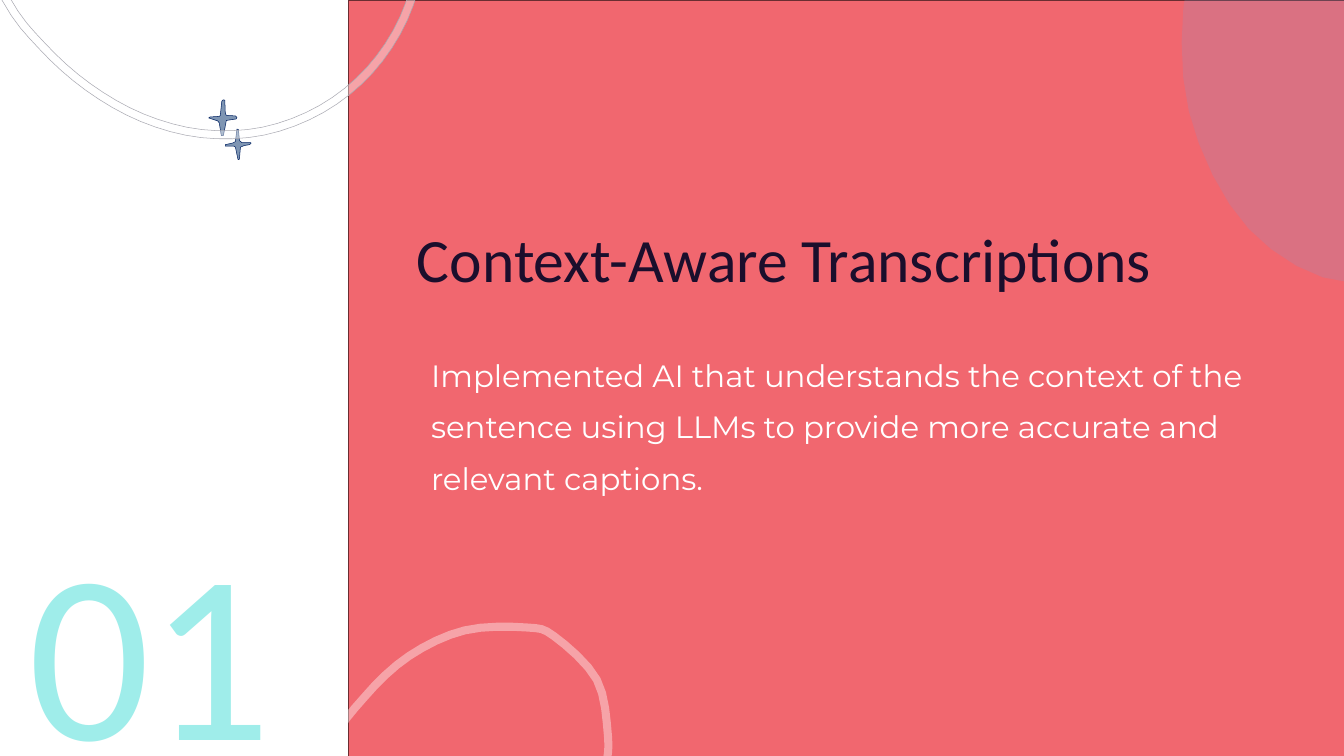
from math import hypot
from pptx import Presentation
from pptx.dml.color import RGBColor
from pptx.enum.shapes import MSO_SHAPE as Kind
from pptx.enum.text import MSO_ANCHOR as Anchor, MSO_AUTO_SIZE as Auto, PP_ALIGN as Align
from pptx.oxml.ns import qn
from pptx.util import Pt
from lxml.etree import SubElement

PX = 9144
WIDTH, HEIGHT = 2666, 1500
WHITE = RGBColor(0xFF, 0xFF, 0xFF)
CORAL = RGBColor(0xF1, 0x67, 0x6F)
WINE = RGBColor(0x6A, 0x2D, 0x31)
STEEL = RGBColor(0x7E, 0x95, 0xB3)
NAVY = RGBColor(0x00, 0x20, 0x60)
BLUE = RGBColor(0x82, 0x99, 0xCE)
GREY = RGBColor(0xA9, 0xA9, 0xB2)
AQUA = RGBColor(0x9F, 0xED, 0xEA)
INK = RGBColor(0x1B, 0x0E, 0x2C)

NUMBER = "01"
TITLE = "Context-Aware Transcriptions"
BODY = ("Implemented AI that understands the context of the sentence using LLMs "
        "to provide more accurate and relevant captions.")

PANEL = (692, 0, 1984, 1500)
STARS = [
    [(414, 234), (417, 232), (435, 231), (437, 229), (440, 201), (443, 198),
     (446, 199), (447, 225), (449, 229), (467, 230), (470, 233), (469, 236),
     (449, 239), (446, 255), (443, 269), (439, 269), (435, 244), (432, 240)],
    [(498, 284), (497, 283), (480, 283), (475, 279), (473, 257), (470, 256),
     (467, 281), (461, 284), (447, 287), (447, 290), (464, 290), (467, 292),
     (472, 316), (474, 317), (475, 315), (477, 292), (484, 289), (495, 287)],
]
BLOB = [(2875, 468), (2676, 560), (2477, 454), (2358, 220), (2356, -43),
        (2446, -211), (2843, -211)]
LOW = [(577, 1964), (573, 1718), (647, 1482), (716, 1379), (807, 1295),
       (920, 1243), (1044, 1237), (1104, 1256), (1191, 1345), (1214, 1460),
       (1209, 1530), (1192, 1651)]
HIGH = [(833, -206), (841, -81), (808, 40), (739, 145), (642, 223), (524, 268),
        (399, 273), (279, 241), (170, 179), (77, 96), (2, -3), (-103, -226)]
BAND = 16
STEPS = 4


def smooth(knots):
    curve = []
    for i, b in enumerate(knots):
        a, c, d = knots[i - 1], knots[(i + 1) % len(knots)], knots[(i + 2) % len(knots)]
        for step in range(STEPS):
            t = step / STEPS
            curve.append(tuple(
                q + t * (r - p) / 2 + t * t * (2 * p - 5 * q + 4 * r - s) / 2
                + t ** 3 * (3 * q - p - 3 * r + s) / 2
                for p, q, r, s in zip(a, b, c, d)))
    return curve


def inset(curve, gap):
    inner = []
    for i, (x, y) in enumerate(curve):
        left, right = curve[i - 1], curve[(i + 1) % len(curve)]
        dx, dy = right[0] - left[0], right[1] - left[1]
        size = hypot(dx, dy)
        inner.append((x - dy / size * gap, y + dx / size * gap))
    return inner


def paint(shape, fill, line=None, weight=0.75, alpha=None):
    shape.shadow.inherit = False
    shape.fill.solid()
    shape.fill.fore_color.rgb = fill
    if alpha:
        tone = shape._element.spPr.find(qn("a:solidFill"))[0]
        SubElement(tone, qn("a:alpha")).set("val", str(alpha * 1000))
    if line:
        shape.line.color.rgb = line
        shape.line.width = Pt(weight)
    else:
        shape.line.fill.background()


def draw(shapes, *rings):
    rings = [[(x * PX, y * PX) for x, y in ring] for ring in rings]
    pen = shapes.build_freeform(*rings[0][0], scale=1)
    pen.add_line_segments(rings[0][1:], close=True)
    for ring in rings[1:]:
        pen.move_to(*ring[0])
        pen.add_line_segments(ring[1:], close=True)
    return pen.convert_to_shape()


def write(shape, box, text, font, size, color, align=Align.LEFT, anchor=Anchor.BOTTOM, space=1.0):
    shape.left, shape.top, shape.width, shape.height = (n * PX for n in box)
    frame = shape.text_frame
    frame.word_wrap = True
    frame.auto_size = Auto.NONE
    frame.vertical_anchor = anchor
    para = frame.paragraphs[0]
    para.alignment = align
    para.line_spacing = space
    para.space_before = Pt(0)
    run = para.add_run()
    run.text = text
    run.font.name = font
    run.font.size = Pt(size)
    run.font.color.rgb = color
    return para


def main():
    deck = Presentation()
    deck.slide_width, deck.slide_height = WIDTH * PX, HEIGHT * PX
    slide = deck.slides.add_slide(deck.slide_layouts[1])
    shapes = slide.shapes
    title, body = shapes.title, slide.placeholders[1]

    panel = shapes.add_shape(Kind.RECTANGLE, *(n * PX for n in PANEL))
    paint(panel, CORAL, WINE, 1)

    group = shapes.add_group_shape()
    for star in STARS:
        paint(draw(group.shapes, star), STEEL, NAVY)

    paint(draw(shapes, smooth(BLOB)), BLUE, alpha=20)
    for knots, line in ((LOW, None), (HIGH, GREY)):
        outer = smooth(knots)
        paint(draw(shapes, outer, inset(outer, BAND)), WHITE, line, alpha=40)

    number = shapes.add_textbox(0, 0, PX, PX)
    write(number, (0, 980, 550, 589), NUMBER, "Calibri", 344, AQUA, Align.RIGHT)
    write(title, (817, 432, 1849, 158), TITLE, "Calibri", 88, INK)
    para = write(body, (845, 673, 1719, 311), BODY, "Montserrat", 44, WHITE,
                 anchor=Anchor.TOP, space=1.4)
    props = para._p.get_or_add_pPr()
    props.set("marL", "0")
    props.set("indent", "0")
    SubElement(props, qn("a:buNone"))
    for shape in (title, body):
        shapes._spTree.append(shape._element)

    deck.save("out.pptx")


if __name__ == "__main__":
    main()
